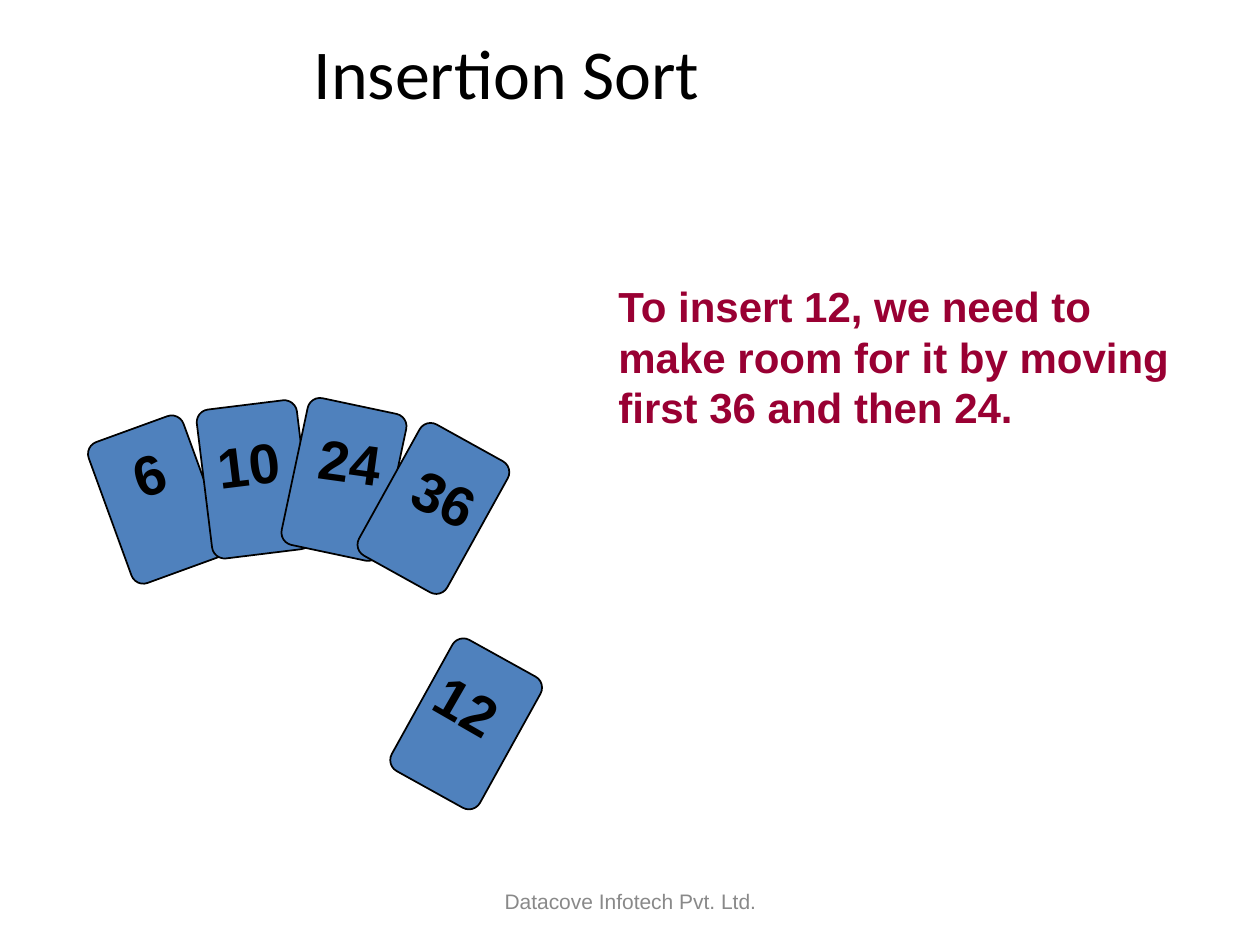
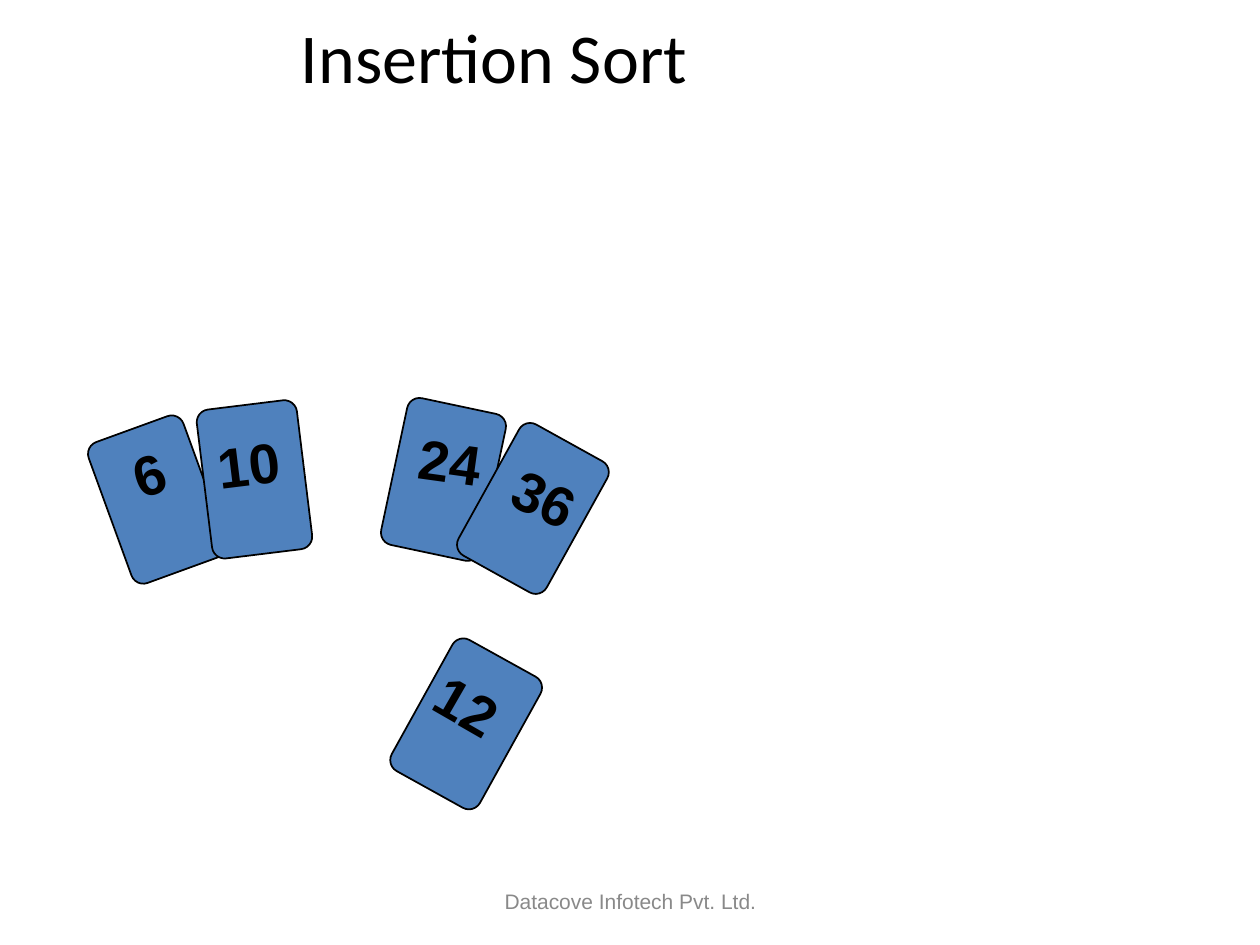
from dataclasses import dataclass

from pptx import Presentation
from pptx.dml.color import RGBColor
from pptx.enum.shapes import MSO_SHAPE
from pptx.enum.text import MSO_ANCHOR, MSO_AUTO_SIZE, PP_ALIGN
from pptx.util import Inches, Pt

ROUNDED = MSO_SHAPE.ROUNDED_RECTANGLE
TOP, MIDDLE, BOTTOM = MSO_ANCHOR.TOP, MSO_ANCHOR.MIDDLE, MSO_ANCHOR.BOTTOM
LEFT, CENTER = PP_ALIGN.LEFT, PP_ALIGN.CENTER
NO_FIT = MSO_AUTO_SIZE.NONE

BLACK, CARD_BLUE, CRIMSON, GREY = "000000", "4F81BD", "990033", "898989"
TITLE_FORMAT = {"name": "Calibri", "size": Pt(40)}
NOTE_FORMAT = {"name": "Arial", "size": Pt(24), "bold": True}
NUMBER_FORMAT = {"name": "Arial", "size": Pt(32), "bold": True}
FOOTER_FORMAT = {"name": "Arial", "size": Pt(12)}

CARD_WIDTH, CARD_HEIGHT, CORNER_RADIUS = 0.8, 1.19, 0.1
NUMBER_HEIGHT = 0.63
FOOTER_BOX = (3.42, 6.95, 3.17, 0.4)


@dataclass
class Card:
    number: str
    left: float
    top: float
    rotation: int
    number_offset: tuple
    number_rotation: int


# The sorted part of the hand, the larger cards that move, and the new card
SMALLER_CARDS = [
    Card("6", 0.85, 3.37, 340, (0.11, 0.07), 341),
    Card("10", 1.62, 3.21, 353, (0.01, 0.15), 353),
]
LARGER_CARDS = [
    Card("24", 2.33, 3.21, 12, (0.11, 0.13), 8),
    Card("36", 3.04, 3.44, 29, (0.15, 0.19), 25),
]
NEW_CARD = Card("12", 3.3, 5.15, 29, (0.07, 0.13), 30)
GAP_FOR_NEW_CARD = 0.79


def color(hex_string):
    return RGBColor.from_string(hex_string)


def add_text(slide, box, text, font_format, text_color,
             anchor=TOP, alignment=LEFT, wrap=True):
    shape = slide.shapes.add_textbox(*map(Inches, box))
    frame = shape.text_frame
    frame_format = {"word_wrap": wrap, "vertical_anchor": anchor, "auto_size": NO_FIT}
    for name, value in frame_format.items():
        setattr(frame, name, value)
    paragraph = frame.paragraphs[0]
    paragraph.alignment = alignment
    run = paragraph.add_run()
    run.text = text
    for name, value in font_format.items():
        setattr(run.font, name, value)
    run.font.color.rgb = color(text_color)
    return shape


def add_card(slide, card, shift=0):
    left = card.left + shift
    # Card face
    face = slide.shapes.add_shape(
        ROUNDED, *map(Inches, (left, card.top, CARD_WIDTH, CARD_HEIGHT)))
    face.adjustments[0] = CORNER_RADIUS / CARD_WIDTH
    face.rotation = card.rotation
    face.shadow.inherit = False
    face.fill.solid()
    face.fill.fore_color.rgb = color(CARD_BLUE)
    face.line.color.rgb = color(BLACK)
    face.line.width = Pt(1)
    # Number, tilted on its own
    offset_x, offset_y = card.number_offset
    number_width = 0.2 + 0.25 * len(card.number)
    box = (left + offset_x, card.top + offset_y, number_width, NUMBER_HEIGHT)
    number = add_text(slide, box, card.number, NUMBER_FORMAT, BLACK, wrap=False)
    number.rotation = card.number_rotation


def add_hand(slide, gap=0):
    for card in SMALLER_CARDS:
        add_card(slide, card)
    for card in LARGER_CARDS:
        add_card(slide, card, gap)
    add_card(slide, NEW_CARD)


def add_sort_slide(presentation, title_box, gap=0):
    slide = presentation.slides.add_slide(presentation.slide_layouts[6])
    add_text(slide, title_box, "Insertion Sort", TITLE_FORMAT, BLACK, BOTTOM, CENTER)
    add_hand(slide, gap)
    add_text(slide, FOOTER_BOX, "Datacove Infotech Pvt. Ltd.",
             FOOTER_FORMAT, GREY, MIDDLE, CENTER)
    return slide


def main():
    presentation = Presentation()
    presentation.slide_width = Inches(10)
    presentation.slide_height = Inches(7.5)

    # Closed hand, with the explanation beside it
    closed = add_sort_slide(presentation, (0.56, 0.67, 6.92, 0.28))
    add_text(closed, (4.81, 2.18, 4.66, 1.3),
             "To insert 12, we need to make room for it by moving first 36 and then 24.",
             NOTE_FORMAT, CRIMSON)

    # Open hand, with room for the new card
    add_sort_slide(presentation, (0.37, 0.25, 7.1, 0.57), GAP_FOR_NEW_CARD)

    presentation.save("out.pptx")


if __name__ == "__main__":
    main()
